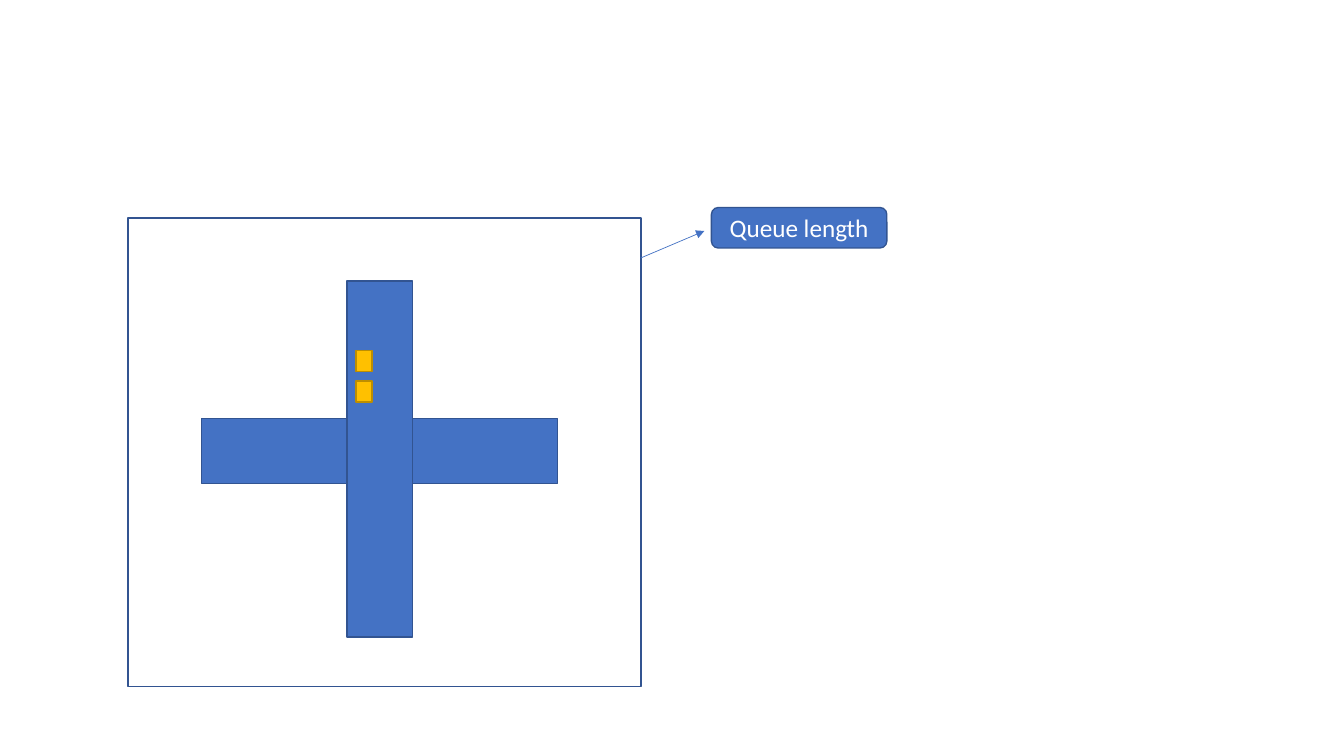
from pptx import Presentation
from pptx.dml.color import RGBColor
from pptx.enum.shapes import MSO_CONNECTOR as Connector, MSO_SHAPE as Shape
from pptx.enum.text import MSO_ANCHOR as Anchor, PP_ALIGN as Align
from pptx.oxml.ns import qn
from pptx.util import Cm, Pt
from lxml.etree import SubElement

COLORS = {"road": "4472C4", "edge": "325491", "car": "FFC000",
          "car_edge": "BD8E00", "text": "FFFFFF"}


def color(name):
    return RGBColor.from_string(COLORS[name])


class Diagram:
    """Holds the text style and the current slide."""

    text_format = {"name": "Calibri", "size": Pt(18)}

    def __init__(self, slide):
        self.shapes = slide.shapes

    def box(self, left, top, width, height, fill="road", edge="edge",
            kind=Shape.RECTANGLE, rotation=0):
        box = self.shapes.add_shape(kind, Cm(left), Cm(top), Cm(width), Cm(height))
        box.shadow.inherit = False
        box.rotation = rotation
        if fill:
            box.fill.solid()
            box.fill.fore_color.rgb = color(fill)
        else:
            box.fill.background()
        box.line.color.rgb = color(edge)
        box.line.width = Pt(1)
        return box

    def label(self, text, *place):
        label = self.box(*place, kind=Shape.ROUNDED_RECTANGLE)
        frame = label.text_frame
        frame.word_wrap = True
        frame.vertical_anchor = Anchor.MIDDLE
        paragraph = frame.paragraphs[0]
        paragraph.text = text
        paragraph.alignment = Align.CENTER
        for key, value in self.text_format.items():
            setattr(paragraph.font, key, value)
        paragraph.font.color.rgb = color("text")

    def arrow(self, *ends):
        arrow = self.shapes.add_connector(Connector.STRAIGHT, *map(Cm, ends))
        arrow.line.color.rgb = color("road")
        arrow.line.width = Pt(0.5)
        SubElement(arrow.line._get_or_add_ln(), qn("a:tailEnd"), type="triangle")
        SubElement(arrow._element.spPr, qn("a:effectLst"))


def main():
    deck = Presentation()
    deck.slide_width, deck.slide_height = Cm(33.87), Cm(19.05)
    diagram = Diagram(deck.slides.add_slide(deck.slide_layouts[6]))

    # Crossing roads
    for top, rotation in ((10.54, 0), (10.74, 90)):
        diagram.box(5.08, top, 8.97, 1.65, rotation=rotation)

    # Queued cars, front one first
    for position in range(2):
        diagram.box(8.97, 9.6 - position * 0.76, 0.41, 0.53, "car", "car_edge")

    # Frame around the junction
    diagram.box(3.23, 5.49, 12.93, 11.81, fill=None)

    # Measured quantity
    diagram.arrow(16.15, 6.5, 17.75, 5.82)
    diagram.label("Queue length", 17.93, 5.23, 4.42, 1.02)

    deck.save("out.pptx")


if __name__ == "__main__":
    main()
